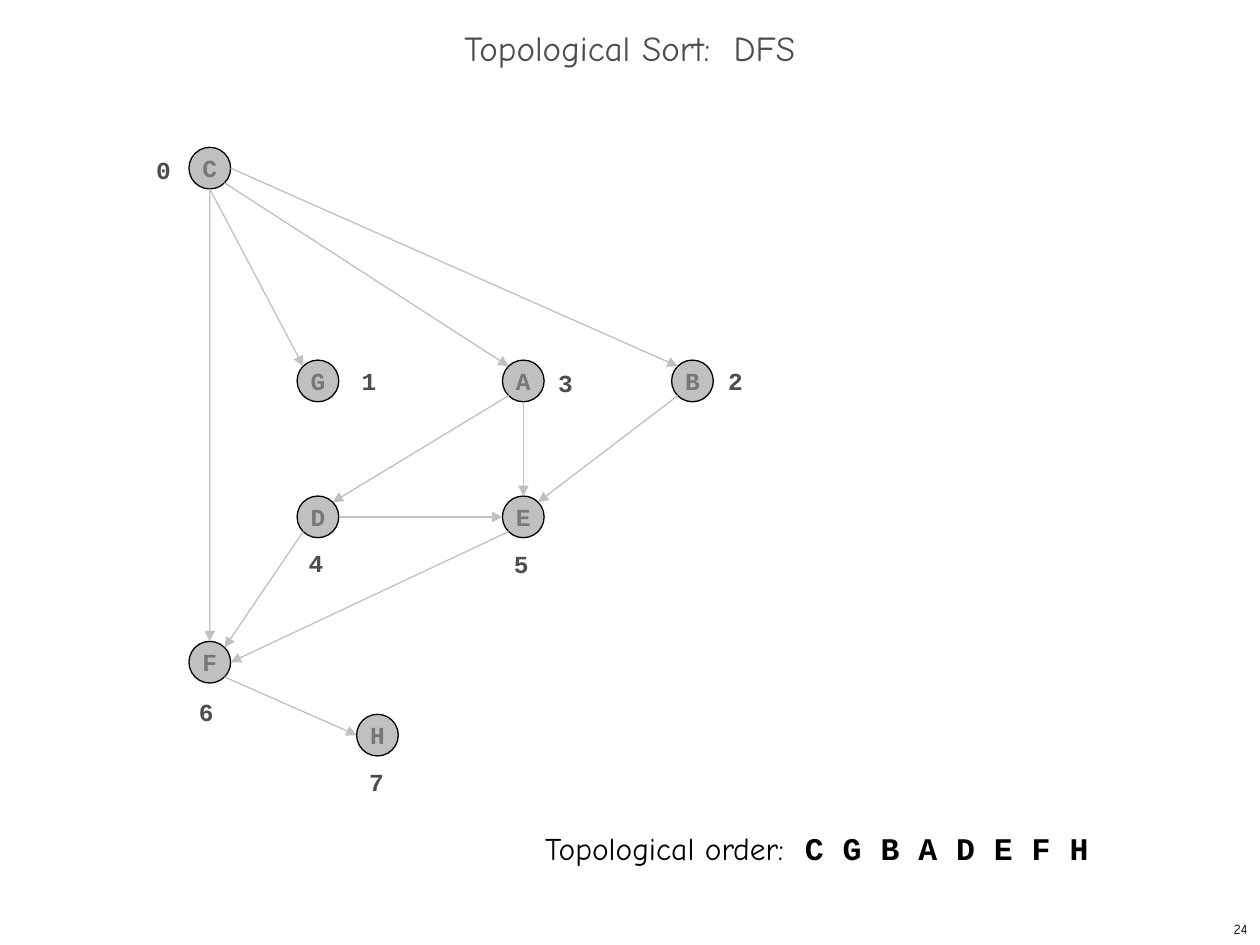
"""Build the slide showing a topological sort of a graph by depth-first search."""
from math import cos, radians, sin

from lxml.etree import SubElement
from pptx import Presentation
from pptx.dml.color import RGBColor
from pptx.enum.shapes import MSO_CONNECTOR, MSO_SHAPE
from pptx.enum.text import MSO_ANCHOR, MSO_AUTO_SIZE, PP_ALIGN
from pptx.oxml.ns import qn
from pptx.util import Cm, Pt

BLACK = RGBColor(0x00, 0x00, 0x00)
DARK = RGBColor(0x4D, 0x4D, 0x4D)
LETTER = RGBColor(0x77, 0x77, 0x77)
GRAY = RGBColor(0xC0, 0xC0, 0xC0)
TEXT_FONT = "Comic Neue"
CODE_FONT = "Courier New"
SIZE = 0.84

NODES = {
    "C": (3.81, 2.97), "G": (5.99, 7.26), "A": (10.13, 7.26), "B": (13.54, 7.26),
    "D": (5.99, 10), "E": (10.13, 10), "F": (3.81, 12.93), "H": (7.19, 14.4),
}
ANGLES = {"E": 0, "SE": 45, "S": 90, "SW": 135, "W": 180, "NW": 225, "N": 270, "NE": 315}
EDGES = [
    ("C", "S", "F", "N"), ("C", "S", "G", "NW"), ("C", "SE", "A", "NW"),
    ("C", "E", "B", "NW"), ("A", "SW", "D", "NE"), ("A", "S", "E", "N"),
    ("B", "SW", "E", "NE"), ("D", "E", "E", "W"), ("D", "SW", "F", "NE"),
    ("E", "SW", "F", "E"), ("F", "SE", "H", "W"),
]
LABELS = [
    (2.9, 3), (7.04, 7.26), (14.43, 7.26), (11, 7.29),
    (5.97, 10.92), (10.11, 10.95), (3.76, 13.92), (7.19, 15.34),
]


def style(font, name, size, color, bold=False):
    font.name, font.size, font.bold = name, Pt(size), bold
    font.color.rgb = color


def site(node, side):
    left, top = NODES[node]
    angle = radians(ANGLES[side])
    return (Cm(left + SIZE / 2 * (1 + cos(angle))),
            Cm(top + SIZE / 2 * (1 + sin(angle))))


prs = Presentation()
prs.slide_width, prs.slide_height = Cm(25.4), Cm(19.05)
s = prs.slides.add_slide(prs.slide_layouts[5])

title = s.shapes.title
title.left, title.top, title.width, title.height = Cm(0), Cm(0.43), Cm(25.4), Cm(1.27)
tf = title.text_frame
tf.text = "Topological Sort:  DFS"
tf.auto_size = MSO_AUTO_SIZE.NONE
tf.vertical_anchor = MSO_ANCHOR.MIDDLE
p = tf.paragraphs[0]
p.alignment, p.line_spacing = PP_ALIGN.CENTER, 0.7
style(p.font, TEXT_FONT, 20, DARK)

for name, (left, top) in NODES.items():
    sp = s.shapes.add_shape(MSO_SHAPE.OVAL, Cm(left), Cm(top), Cm(SIZE), Cm(SIZE))
    sp.shadow.inherit = False
    sp.fill.solid()
    sp.fill.fore_color.rgb = GRAY
    sp.line.color.rgb, sp.line.width = BLACK, Pt(0.75)
    tf = sp.text_frame
    tf.text, tf.word_wrap = name, False
    tf.vertical_anchor = MSO_ANCHOR.MIDDLE
    p = tf.paragraphs[0]
    p.alignment = PP_ALIGN.CENTER
    style(p.font, CODE_FONT, 14, LETTER, True)

for source, leave, target, enter in EDGES:
    line = s.shapes.add_connector(
        MSO_CONNECTOR.STRAIGHT, *site(source, leave), *site(target, enter))
    line.line.color.rgb, line.line.width = GRAY, Pt(0.75)
    SubElement(line.line._get_or_add_ln(), qn("a:tailEnd"), type="triangle")
    SubElement(line._element.spPr, qn("a:effectLst"))

for number, (left, top) in enumerate(LABELS):
    tf = s.shapes.add_textbox(Cm(left), Cm(top), Cm(0.81), Cm(0.84)).text_frame
    tf.text, tf.word_wrap = str(number), False
    tf.auto_size = MSO_AUTO_SIZE.SHAPE_TO_FIT_TEXT
    style(tf.paragraphs[0].font, CODE_FONT, 14, DARK, True)

tf = s.shapes.add_textbox(Cm(10.74), Cm(16.59), Cm(11.56), Cm(1.02)).text_frame
tf.word_wrap = False
tf.auto_size = MSO_AUTO_SIZE.SHAPE_TO_FIT_TEXT
for text, name, bold in [("Topological order:  ", TEXT_FONT, False),
                         ("C G B A D E F H", CODE_FONT, True)]:
    r = tf.paragraphs[0].add_run()
    r.text = text
    style(r.font, name, 18, BLACK, bold)

tf = s.shapes.add_textbox(Cm(20.12), Cm(18.41), Cm(5.28), Cm(0.64)).text_frame
tf.text, tf.word_wrap = "24", True
tf.vertical_anchor = MSO_ANCHOR.MIDDLE
p = tf.paragraphs[0]
p.alignment = PP_ALIGN.RIGHT
style(p.font, TEXT_FONT, 8, BLACK)

prs.save("out.pptx")
